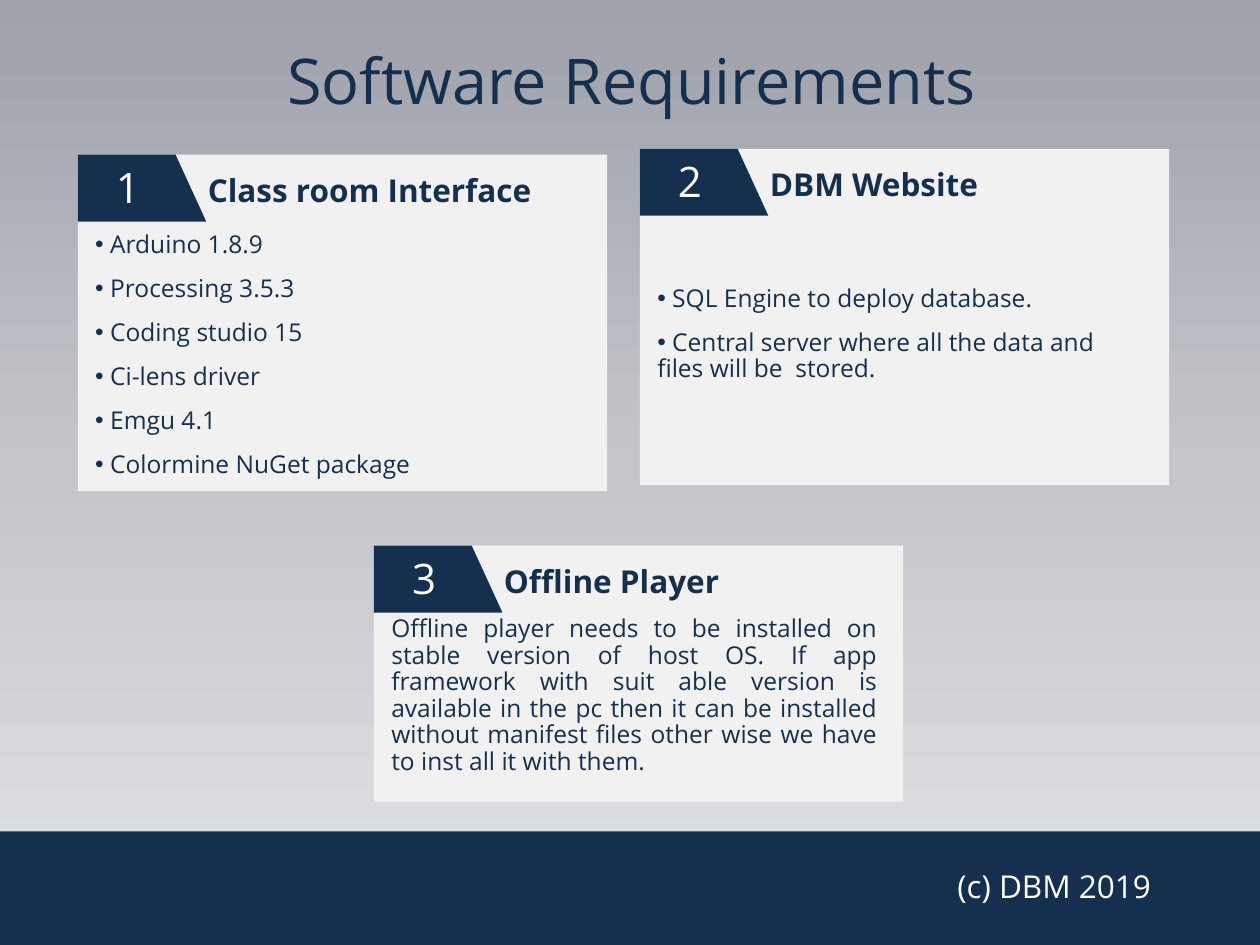
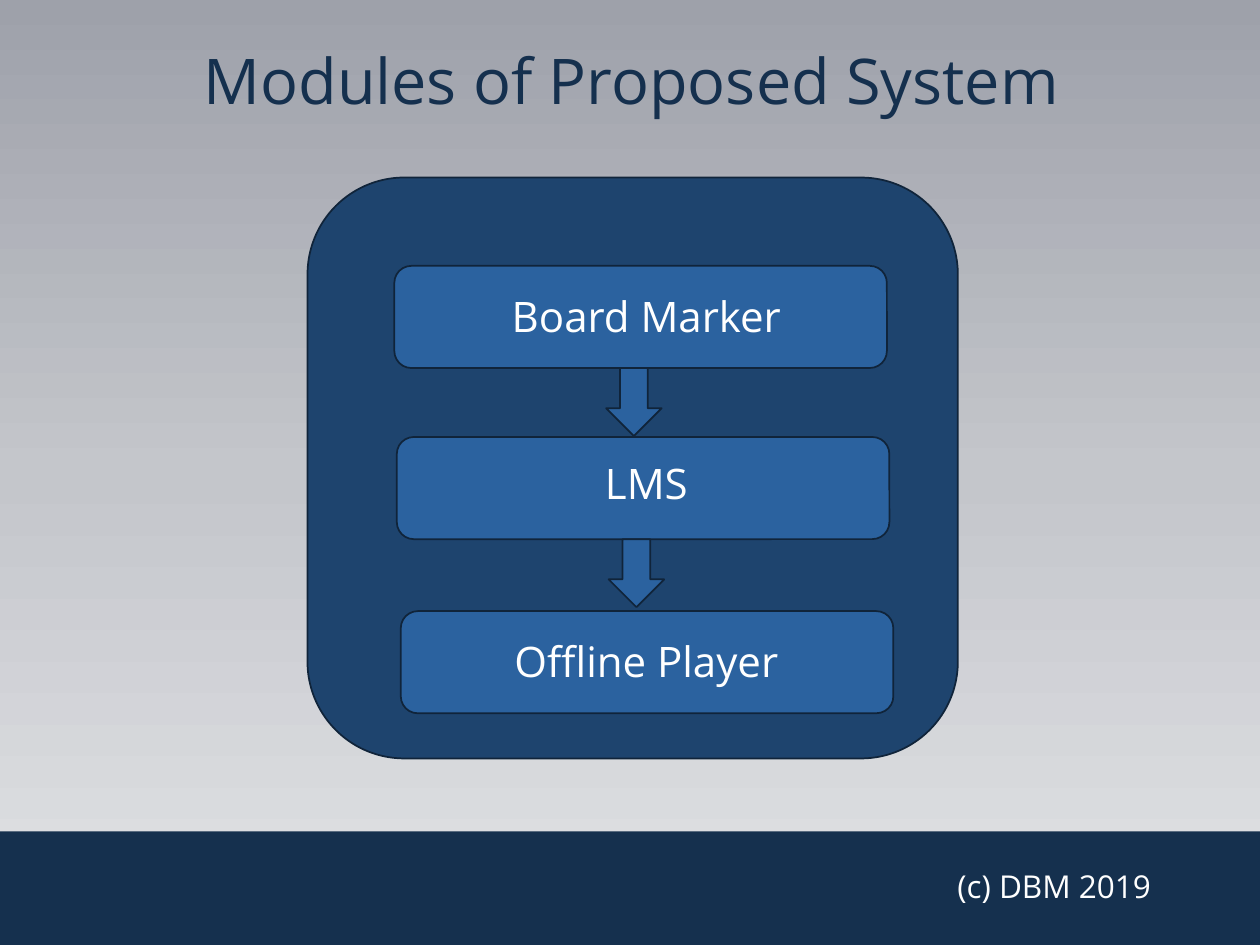
import dataclasses
import typing

import lxml.etree
import pptx
import pptx.dml.color
import pptx.enum.shapes
import pptx.enum.text
import pptx.oxml.ns
import pptx.util

Cm = pptx.util.Cm
Pt = pptx.util.Pt
qn = pptx.oxml.ns.qn
SHAPE = pptx.enum.shapes.MSO_SHAPE
ALIGN = pptx.enum.text.PP_ALIGN
ANCHOR = pptx.enum.text.MSO_ANCHOR


@dataclasses.dataclass(frozen=True)
class Theme:
    font: str = "Open Sans"
    navy: str = "15304E"
    white: str = "FFFFFF"
    panel: str = "F1F1F1"
    system: str = "1E446E"
    module: str = "2B629F"
    outline: str = "10243A"
    # position %, colour, opacity %
    backdrop: tuple = ((0, "9EA1AA", 84), (50, "C4C6CB", 100), (100, "E2E3E6", 100))
    title_size: int = 36
    label_size: int = 24
    heading_size: int = 18
    body_size: int = 14


THEME = Theme()


class Box(typing.NamedTuple):
    """Left, top, width and height in centimetres."""
    left: float
    top: float
    width: float
    height: float

    def lengths(self) -> list:
        return [Cm(value) for value in self]


@dataclasses.dataclass(frozen=True)
class Requirement:
    number: int
    heading: str
    card: Box
    body_offset: float
    body_height: float
    lines: tuple
    list_index: typing.Optional[int] = None  # placeholder holding a bulleted list


@dataclasses.dataclass(frozen=True)
class Module:
    name: str
    left: float
    top: float
    label_top: float


REQUIREMENTS = (
    Requirement(1, "Class room Interface", Box(1.57, 3.12, 10.67, 6.78), 2.18, 3.73,
                ("Arduino 1.8.9", "Processing 3.5.3", "Coding studio 15",
                 "Ci-lens driver", "Emgu 4.1", "Colormine NuGet package"), 1),
    Requirement(2, "DBM Website", Box(12.9, 3, 10.67, 6.78), 1.55, 4.39,
                ("SQL Engine to deploy database.",
                 "Central server where all the data and files will be  stored."), 2),
    Requirement(3, "Offline Player", Box(7.54, 11, 10.67, 5.16), 1.47, 3.12,
                ("Offline player needs to be installed on stable version of host OS. "
                 "If app framework with suit able version is available in the pc then "
                 "it can be installed without manifest files other wise we have to "
                 "inst all it with them.",)),
)

MODULES = (
    Module("Board Marker", 7.95, 5.36, 5.41),
    Module("LMS", 8, 8.81, 8.79),
    Module("Offline Player", 8.08, 12.32, 12.37),
)


def rgb(value: str) -> pptx.dml.color.RGBColor:
    return pptx.dml.color.RGBColor.from_string(value)


def write(target, lines: typing.Sequence[str], *, size: int, color: str = THEME.navy,
          bold: bool = False, align=ALIGN.LEFT, anchor=ANCHOR.MIDDLE,
          margins: tuple = (0, 0.13), spacing: float = 0.9, before: float = 10,
          bullet: bool = False) -> None:
    """Fill a text box or placeholder, one paragraph for each line."""
    frame = target.text_frame
    frame.word_wrap = True
    frame.auto_size = pptx.enum.text.MSO_AUTO_SIZE.NONE
    frame.vertical_anchor = anchor
    frame.margin_left = frame.margin_right = Cm(margins[0])
    frame.margin_top = frame.margin_bottom = Cm(margins[1])
    for index, line in enumerate(lines):
        paragraph = frame.add_paragraph() if index else frame.paragraphs[0]
        if bullet:
            properties = paragraph._p.get_or_add_pPr()
            properties.set("marL", "0")
            properties.set("indent", "0")
            lxml.etree.SubElement(properties, qn("a:buChar")).set("char", "•")
        paragraph.alignment = align
        paragraph.line_spacing = spacing
        paragraph.space_before = Pt(before if index else 0)
        run = paragraph.add_run()
        run.text = f" {line}" if bullet else line
        run.font.name = THEME.font
        run.font.size = Pt(size)
        run.font.bold = bold
        run.font.color.rgb = rgb(color)


def add_text(slide, box: Box, text: str, **style) -> None:
    write(slide.shapes.add_textbox(*box.lengths()), [text], **style)


def paint(shape, fill: str, outline: typing.Optional[str] = None) -> None:
    shape.shadow.inherit = False
    shape.fill.solid()
    shape.fill.fore_color.rgb = rgb(fill)
    if outline:
        shape.line.color.rgb = rgb(outline)
        shape.line.width = Pt(1)
    else:
        shape.line.fill.background()


def add_block(slide, kind, box: Box, fill: str,
              outline: typing.Optional[str] = None) -> None:
    paint(slide.shapes.add_shape(kind, *box.lengths()), fill, outline)


def place(placeholder, box: Box) -> None:
    """Move a placeholder to its box, in front of what is drawn so far."""
    placeholder.left, placeholder.top, placeholder.width, placeholder.height = box.lengths()
    placeholder._element.getparent().append(placeholder._element)


def set_backdrop(master) -> None:
    """Vertical gradient behind every slide."""
    master.background.fill.gradient()
    gradient = master.element.find(".//" + qn("a:gradFill"))
    stops = gradient.find(qn("a:gsLst"))
    for stop in list(stops):
        stops.remove(stop)
    for position, color, opacity in THEME.backdrop:
        stop = lxml.etree.SubElement(stops, qn("a:gs"), pos=str(position * 1000))
        tint = lxml.etree.SubElement(stop, qn("a:srgbClr"), val=color)
        if opacity < 100:
            lxml.etree.SubElement(tint, qn("a:alpha"), val=str(opacity * 1000))
    direction = gradient.find(qn("a:lin"))
    direction.set("ang", "5400000")
    direction.set("scaled", "0")


def start_slide(deck, layout: int, title: str):
    """Slide with the shared title and footer band."""
    slide = deck.slides.add_slide(deck.slide_layouts[layout])
    place(slide.shapes.title, Box(1.96, 0.66, 21.54, 2.08))
    write(slide.shapes.title, [title], size=THEME.title_size, align=ALIGN.CENTER)
    add_block(slide, SHAPE.RECTANGLE, Box(0, 16.76, 25.4, 2.29), THEME.navy)
    add_text(slide, Box(19.05, 17.35, 5.87, 1.7), "(c) DBM 2019",
             size=THEME.heading_size, color=THEME.white, anchor=ANCHOR.TOP,
             margins=(0.25, 0.13), spacing=1)
    return slide


def add_requirement(slide, item: Requirement) -> None:
    left, top = item.card.left, item.card.top
    add_block(slide, SHAPE.RECTANGLE, item.card, THEME.panel)

    # Slanted number tag
    outline = slide.shapes.build_freeform(Cm(left), Cm(top))
    corners = ((1.97, 0), (2.59, 1.35), (0, 1.35))
    outline.add_line_segments([(Cm(left + x), Cm(top + y)) for x, y in corners])
    paint(outline.convert_to_shape(), THEME.navy)
    add_text(slide, Box(left + 0.11, top + 0.14, 1.8, 1.02), str(item.number),
             size=THEME.label_size, color=THEME.white, align=ALIGN.CENTER,
             anchor=ANCHOR.TOP, margins=(0, 0), spacing=1)

    # Heading and body
    add_text(slide, Box(left + 2.62, top + 0.18, 7.16, 1.17), item.heading,
             size=THEME.heading_size, bold=True)
    body_box = Box(left + 0.35, top + item.body_offset, 9.8, item.body_height)
    if item.list_index is None:
        add_text(slide, body_box, item.lines[0], size=THEME.body_size,
                 align=ALIGN.JUSTIFY)
    else:
        body = slide.placeholders[item.list_index]
        place(body, body_box)
        write(body, item.lines, size=THEME.body_size, bullet=True)


def add_module(slide, module: Module, has_next: bool) -> None:
    block = Box(module.left, module.top, 9.93, 2.06)
    add_block(slide, SHAPE.ROUNDED_RECTANGLE, block, THEME.module, THEME.outline)
    if has_next:
        arrow = Box(block.left + 4.27, block.top + block.height, 1.12, 1.37)
        add_block(slide, SHAPE.DOWN_ARROW, arrow, THEME.module, THEME.outline)
    add_text(slide, Box(8.13, module.label_top, 9.8, 2.03), module.name,
             size=THEME.label_size, color=THEME.white, align=ALIGN.CENTER)


def main() -> None:
    deck = pptx.Presentation()
    deck.slide_width, deck.slide_height = Cm(25.4), Cm(19.05)
    set_backdrop(deck.slide_master)

    # Software requirements: three numbered cards
    requirements = start_slide(deck, 3, "Software Requirements")
    for item in REQUIREMENTS:
        add_requirement(requirements, item)

    # Modules: a chain inside the system frame
    modules = start_slide(deck, 5, "Modules of Proposed System")
    add_block(modules, SHAPE.ROUNDED_RECTANGLE, Box(6.2, 3.58, 13.11, 11.71),
              THEME.system, THEME.outline)
    for module in MODULES:
        add_module(modules, module, has_next=module is not MODULES[-1])

    deck.save("out.pptx")


if __name__ == "__main__":
    main()
